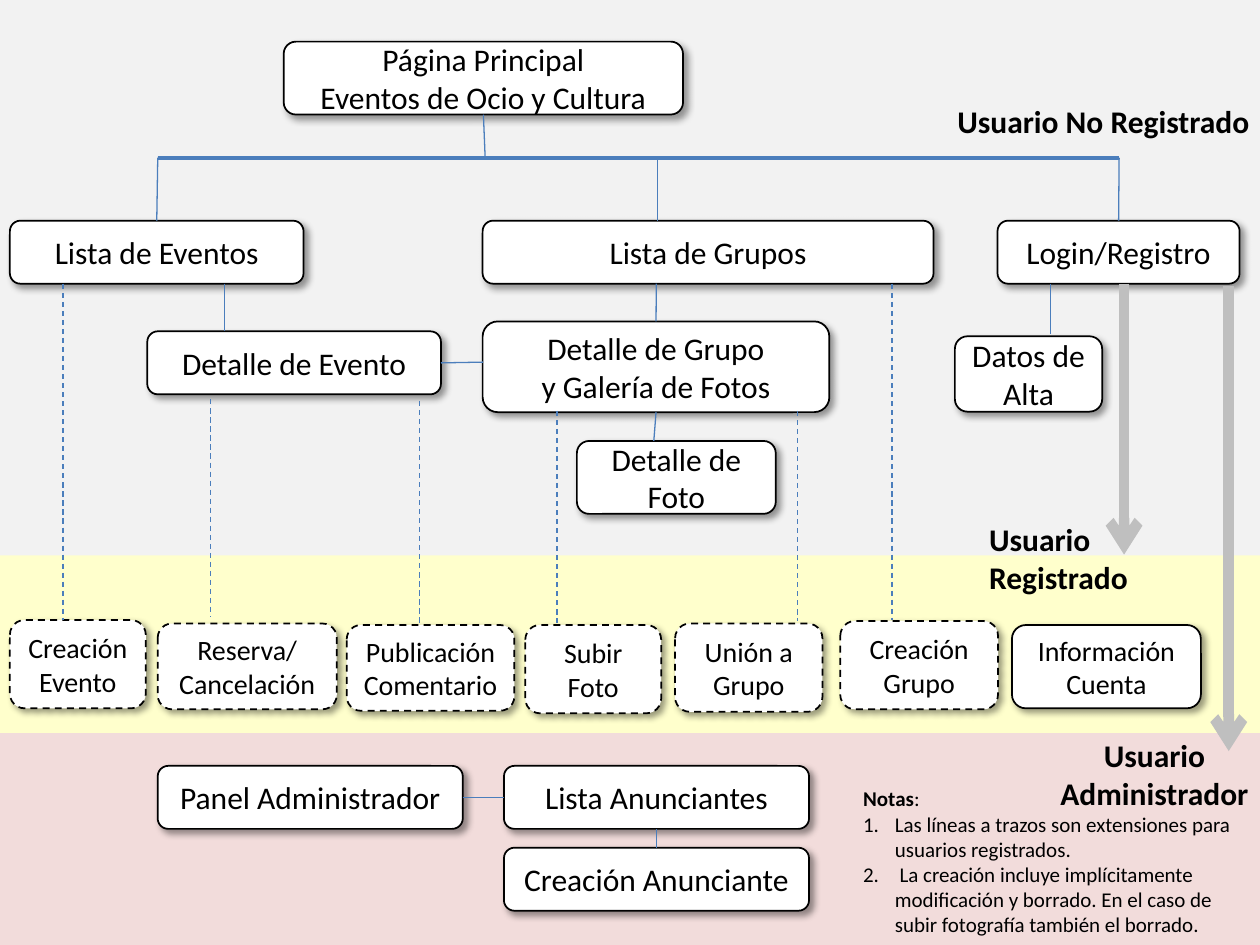
from dataclasses import dataclass

from lxml import etree
from pptx import Presentation
from pptx import util as u
from pptx.dml.color import RGBColor
from pptx.enum import dml, shapes, text
from pptx.oxml import ns

TOP, LEFT, BOTTOM, RIGHT = range(4)


@dataclass(frozen=True)
class Theme:
    font: str = "Calibri"
    ink: str = "000000"
    paper: str = "FFFFFF"
    visitor: str = "F2F2F2"
    registered: str = "FFFFCC"
    admin: str = "F2DCDB"
    link: str = "4B7EBC"
    arrow: str = "BFBFBF"
    page_size: int = 18
    action_size: int = 16
    note_size: int = 12


@dataclass(frozen=True)
class Area:
    """A region of the slide, in centimetres."""
    left: float
    top: float
    width: float
    height: float

    def place(self, x, y):
        return u.Cm(self.left + x), u.Cm(self.top + y)


THEME = Theme()
SLIDE = Area(0, 0, 25.4, 19.05)
VISITOR = Area(0, 0, 25.4, 11.2)
REGISTERED = Area(0, 10.69, 25.4, 4.45)
ADMIN = Area(0, 14.78, 25.4, 4.27)


def colour(value):
    return RGBColor.from_string(value)


def sub(parent, tag, **attributes):
    return etree.SubElement(parent, ns.qn(tag), attributes)


def add_run(paragraph, words, size, bold=False):
    run = paragraph.add_run()
    run.text = words
    run.font.name = THEME.font
    run.font.size = u.Pt(size)
    run.font.bold = bold
    run.font.color.rgb = colour(THEME.ink)


def add_band(slide, area, fill):
    band = slide.shapes.add_shape(shapes.MSO_SHAPE.RECTANGLE, *area.place(0, 0),
                                  u.Cm(area.width), u.Cm(area.height))
    band.shadow.inherit = False
    band.fill.solid()
    band.fill.fore_color.rgb = colour(fill)
    band.line.fill.background()


def add_page(slide, area, x, y, width, height, lines, size=THEME.page_size, dashed=False):
    """Add one rounded box of the site map; each line is a paragraph."""
    page = slide.shapes.add_shape(shapes.MSO_SHAPE.ROUNDED_RECTANGLE, *area.place(x, y),
                                  u.Cm(width), u.Cm(height))
    page.fill.solid()
    page.fill.fore_color.rgb = colour(THEME.paper)
    page.line.color.rgb = colour(THEME.ink)
    page.line.width = u.Pt(1)
    if dashed:
        page.line.dash_style = dml.MSO_LINE.DASH
    page.shadow.inherit = False
    effects = page.element.spPr.find(ns.qn("a:effectLst"))
    shadow = sub(effects, "a:outerShdw", blurRad=str(u.Pt(4)), dist=str(u.Pt(3)),
                 dir="2700000", algn="tl", rotWithShape="0")
    sub(sub(shadow, "a:srgbClr", val=THEME.ink), "a:alpha", val="40000")
    frame = page.text_frame
    frame.word_wrap = True
    frame.vertical_anchor = text.MSO_ANCHOR.MIDDLE
    for index, line in enumerate(lines.split("\n")):
        paragraph = frame.add_paragraph() if index else frame.paragraphs[0]
        paragraph.alignment = text.PP_ALIGN.CENTER
        add_run(paragraph, line, size)
    return page


def add_text_frame(slide, area, x, y, width, height):
    frame = slide.shapes.add_textbox(*area.place(x, y), u.Cm(width), u.Cm(height)).text_frame
    frame.word_wrap = True
    frame.auto_size = text.MSO_AUTO_SIZE.SHAPE_TO_FIT_TEXT
    return frame


def add_role(slide, area, x, y, width, height, role, align=text.PP_ALIGN.LEFT):
    paragraph = add_text_frame(slide, area, x, y, width, height).paragraphs[0]
    paragraph.alignment = align
    add_run(paragraph, role, THEME.page_size, bold=True)


def add_link(slide, area, x1, y1, x2, y2, start=None, end=None,
             ink=THEME.link, weight=0.75, dashed=False, arrow=False):
    """Draw a line; start and end are (page, side) pairs to join."""
    link = slide.shapes.add_connector(shapes.MSO_CONNECTOR.STRAIGHT,
                                      *area.place(x1, y1), *area.place(x2, y2))
    link.line.color.rgb = colour(ink)
    link.line.width = u.Pt(weight)
    if dashed:
        link.line.dash_style = dml.MSO_LINE.DASH
    if arrow:
        sub(link.line._get_or_add_ln(), "a:tailEnd", type="arrow")
    sub(link.element.spPr, "a:effectLst")
    if start:
        link.begin_connect(*start)
    if end:
        link.end_connect(*end)


def build_visitor(slide, area):
    home = add_page(slide, area, 5.72, 0.84, 8.05, 1.47,
                    "Página Principal\nEventos de Ocio y Cultura")
    events = add_page(slide, area, 0.2, 4.45, 5.92, 1.27, "Lista de Eventos")
    add_page(slide, area, 9.73, 4.45, 9.09, 1.27, "Lista de Grupos")
    login = add_page(slide, area, 20.11, 4.45, 4.88, 1.27, "Login/Registro")
    event = add_page(slide, area, 2.97, 6.68, 5.92, 1.27, "Detalle de Evento")
    group = add_page(slide, area, 9.73, 6.48, 6.99, 1.83,
                     "Detalle de Grupo\ny Galería de Fotos")
    add_page(slide, area, 11.63, 8.89, 4.01, 1.47, "Detalle de Foto")
    add_page(slide, area, 19.25, 6.78, 2.97, 1.52, "Datos de Alta")
    add_role(slide, area, 19.05, 1.93, 6.78, 1.02, "Usuario No Registrado")

    rail = 3.18
    add_link(slide, area, 3.18, rail, 22.56, rail, weight=2.25)
    add_link(slide, area, 9.74, 2.31, 9.78, rail, start=(home, BOTTOM))
    add_link(slide, area, 3.18, rail, 3.16, 4.45, end=(events, TOP))
    add_link(slide, area, 13.25, rail, 13.25, 4.45)
    add_link(slide, area, 22.56, rail, 22.55, 4.45, end=(login, TOP))
    add_link(slide, area, 4.52, 5.72, 4.52, 6.68)
    add_link(slide, area, 13.23, 5.72, 13.23, 6.48, end=(group, TOP))
    add_link(slide, area, 21.17, 5.72, 21.17, 6.73)
    add_link(slide, area, 8.89, 7.3, 9.74, 7.3, start=(event, RIGHT))
    add_link(slide, area, 13.2, 8.3, 13.18, 8.89, start=(group, BOTTOM))


def build_registered(slide, area):
    actions = [
        (0.2, 1.81, 2.74, 1.78, "Creación Evento"),
        (3.18, 1.88, 3.61, 1.73, "Reserva/\nCancelación"),
        (6.99, 1.91, 3.38, 1.73, "Publicación Comentario"),
        (10.59, 1.91, 2.74, 1.78, "Subir Foto"),
        (13.61, 1.88, 2.97, 1.78, "Unión a Grupo"),
        (16.94, 1.83, 3.18, 1.78, "Creación Grupo"),
    ]
    for action in actions:
        add_page(slide, area, *action, size=THEME.action_size, dashed=True)
    add_page(slide, area, 20.4, 1.91, 3.81, 1.68, "Información\nCuenta",
             size=THEME.action_size)
    add_role(slide, area, 19.69, -0.33, 4.88, 1.8, "Usuario Registrado")


def build_admin(slide, area):
    panel = add_page(slide, area, 3.18, 0.66, 6.15, 1.27, "Panel Administrador")
    advertisers = add_page(slide, area, 10.16, 0.66, 6.15, 1.27, "Lista Anunciantes")
    creation = add_page(slide, area, 10.16, 2.31, 6.15, 1.27, "Creación Anunciante")
    add_link(slide, area, 9.33, 1.3, 10.16, 1.3, (panel, RIGHT), (advertisers, LEFT))
    add_link(slide, area, 13.23, 1.93, 13.23, 2.31, (advertisers, BOTTOM), (creation, TOP))
    add_role(slide, area, 20.52, -0.07, 5.51, 1.8, "Usuario Administrador",
             text.PP_ALIGN.CENTER)


def build_notes(slide, area):
    frame = add_text_frame(slide, area, 17.15, 0.94, 8.05, 3.33)
    heading = frame.paragraphs[0]
    add_run(heading, "Notas", THEME.note_size, bold=True)
    add_run(heading, ":", THEME.note_size)
    notes = [
        "Las líneas a trazos son extensiones para usuarios registrados.",
        " La creación incluye implícitamente modificación y borrado. "
        "En el caso de subir fotografía también el borrado.",
    ]
    indent = u.Cm(0.64)
    for note in notes:
        paragraph = frame.add_paragraph()
        properties = paragraph._p.get_or_add_pPr()
        properties.set("marL", str(indent))
        properties.set("indent", str(-indent))
        sub(properties, "a:buAutoNum", type="arabicPeriod")
        add_run(paragraph, note, THEME.note_size)


def build_role_links(slide, area):
    """Draw the lines that cross from one role's band into another."""
    extensions = [(1.27, 5.72, 12.5), (4.24, 8.05, 12.42), (8.46, 8.08, 12.6),
                  (11.23, 8.28, 12.55), (16.08, 8.28, 12.52), (17.98, 5.72, 12.5)]
    for x, top, bottom in extensions:
        add_link(slide, area, x, top, x, bottom, dashed=True)
    for x, top, bottom in [(22.66, 5.72, 11.18), (24.77, 5.77, 15.14)]:
        add_link(slide, area, x, top, x, bottom, ink=THEME.arrow, weight=6, arrow=True)


def main():
    deck = Presentation()
    deck.slide_width, deck.slide_height = u.Cm(SLIDE.width), u.Cm(SLIDE.height)
    slide = deck.slides.add_slide(deck.slide_layouts[6])
    add_band(slide, REGISTERED, THEME.registered)
    add_band(slide, ADMIN, THEME.admin)
    add_band(slide, VISITOR, THEME.visitor)
    build_visitor(slide, VISITOR)
    build_registered(slide, REGISTERED)
    build_admin(slide, ADMIN)
    build_notes(slide, ADMIN)
    build_role_links(slide, SLIDE)
    deck.save("out.pptx")


if __name__ == "__main__":
    main()
